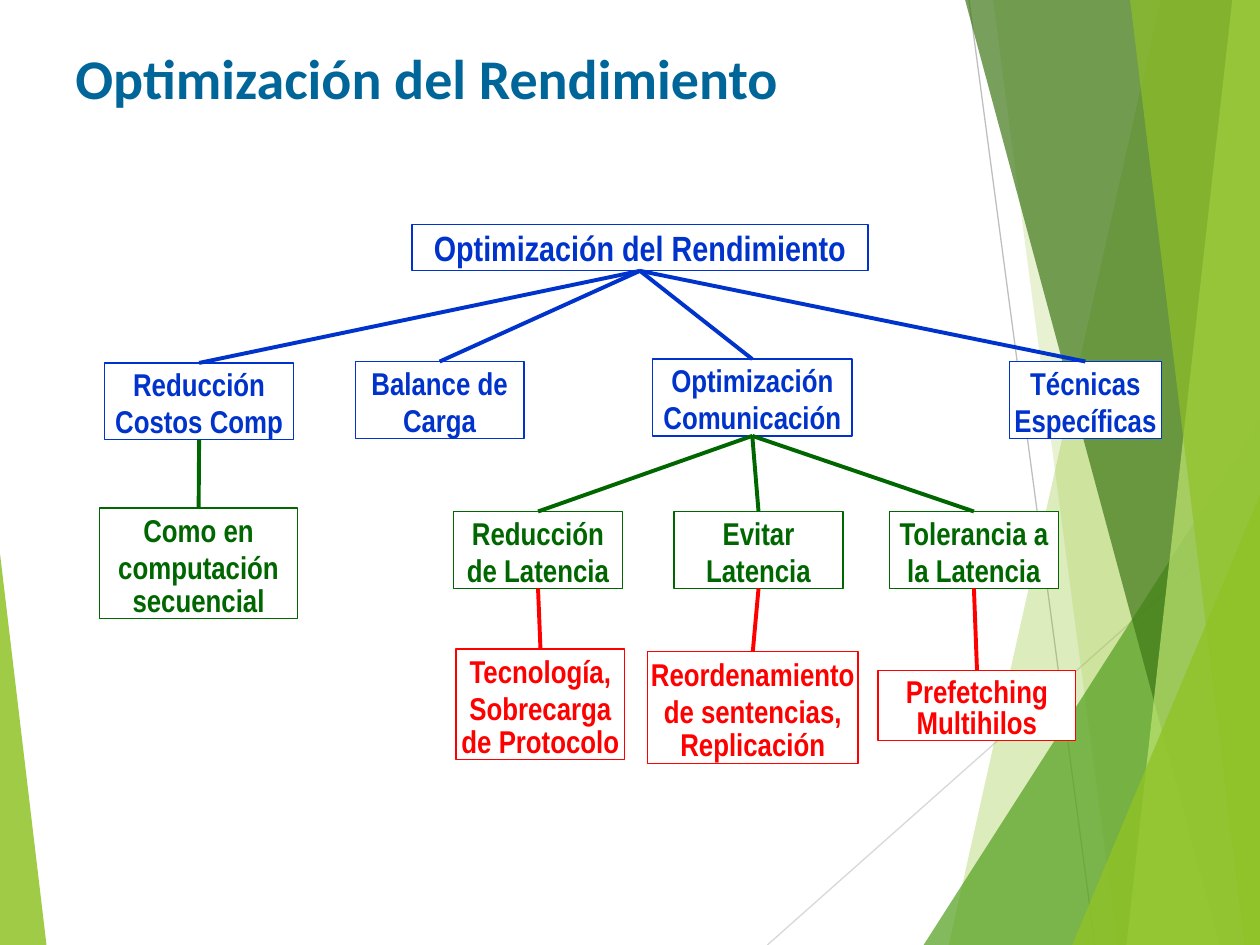
from collections import namedtuple

from lxml.etree import SubElement
from pptx import Presentation
from pptx.dml.color import RGBColor
from pptx.enum.shapes import MSO_CONNECTOR, MSO_SHAPE
from pptx.enum.text import MSO_ANCHOR, PP_ALIGN
from pptx.oxml.ns import qn
from pptx.util import Pt

BLUE, GREEN, RED = "0033CC", "006600", "FF0000"
LIME = "90C226"
TOP, BOTTOM = 0, 2
LINE_GAPS = (0, 9, 8)

Box = namedtuple("Box", "left top width height")
Node = namedtuple("Node", "lines color box parent gaps", defaults=(None, LINE_GAPS))

# Boxes are relative to the top left corner of the diagram.
NODES = {
    "root": Node(["Optimización del Rendimiento"], BLUE, Box(178.4, 0.2, 260.6, 26.6)),
    "specific": Node(["Técnicas", "Específicas"], BLUE,
                     Box(519.7, 78.6, 87.1, 43.9), "root"),
    "communication": Node(["Optimización", "Comunicación"], BLUE,
                          Box(316, 77.2, 113.8, 43.9), "root"),
    "balance": Node(["Balance de", "Carga"], BLUE, Box(146, 78.6, 96.5, 43.9), "root"),
    "costs": Node(["Reducción", "Costos Comp"], BLUE, Box(2.8, 79.4, 108, 43.9), "root"),
    "reduce": Node(["Reducción", "de Latencia"], GREEN,
                   Box(202.2, 164.3, 96.5, 43.9), "communication"),
    "avoid": Node(["Evitar", "Latencia"], GREEN,
                  Box(328.2, 164.3, 96.5, 43.9), "communication"),
    "tolerate": Node(["Tolerancia a", "la Latencia"], GREEN,
                     Box(451.3, 164.3, 96.5, 43.9), "communication"),
    "technology": Node(["Tecnología,", "Sobrecarga", "de Protocolo"], RED,
                       Box(203.6, 242.8, 96.5, 63.4), "reduce"),
    "reorder": Node(["Reordenamiento", "de sentencias,", "Replicación"], RED,
                    Box(313.1, 244.2, 120.2, 64.1), "avoid"),
    "prefetch": Node(["Prefetching", "Multihilos"], RED,
                     Box(444.8, 255, 113, 40.3), "tolerate", (0, 5.6)),
    "sequential": Node(["Como en", "computación", "secuencial"], GREEN,
                       Box(0, 162.2, 113, 63.4), "costs"),
}


def rgb(color):
    return RGBColor.from_string(color)


def paint(shape, color, opacity=100):
    """Fill a shape without outline or shadow; opacity is in percent."""
    shape.shadow.inherit = False
    shape.line.fill.background()
    shape.fill.solid()
    shape.fill.fore_color.rgb = rgb(color)
    if opacity < 100:
        tint = shape._element.spPr.find(qn("a:solidFill"))[0]
        SubElement(tint, qn("a:alpha")).set("val", str(opacity * 1000))


def add_line(slide, start, end, color, weight):
    line = slide.shapes.add_connector(
        MSO_CONNECTOR.STRAIGHT, *(Pt(value) for value in (*start, *end)))
    line.line.color.rgb = rgb(color)
    line.line.width = Pt(weight)
    SubElement(line._element.spPr, qn("a:effectLst"))
    return line


def add_backdrop(slide, box):
    """Overlapping translucent shards along the right side, one at bottom left."""
    right, bottom = box.left + box.width, box.top + box.height

    def shard(top_x, bottom_x, color, opacity):
        """Region between a slanted left edge and the right side of the box."""
        builder = slide.shapes.build_freeform(
            Pt(box.left + top_x), Pt(box.top), scale=1.0)
        corners = [(right, box.top), (right, bottom), (box.left + bottom_x, bottom)]
        builder.add_line_segments([(Pt(x), Pt(y)) for x, y in corners], close=True)
        paint(builder.convert_to_shape(), color, opacity)

    def corner(left, width, height, apex, color, opacity):
        """Right triangle on the bottom edge; apex is 0 for left, 1 for right."""
        triangle = slide.shapes.add_shape(
            MSO_SHAPE.ISOSCELES_TRIANGLE,
            Pt(left), Pt(bottom - height), Pt(width), Pt(height))
        triangle.adjustments[0] = apex
        paint(triangle, color, opacity)

    add_line(slide, (box.left + 553.7, box.top), (box.left + 625.7, bottom), "BFBFBF", 0.75)
    add_line(slide, (right, box.top + 290.2), (box.left + 438.5, bottom), "D8D8D8", 0.75)
    shard(663.1, 542.2, LIME, 30)
    shard(567.4, 638.6, LIME, 20)
    corner(right - 192.2, 192.2, 300.2, 1, "54A021", 72)
    shard(551.5, 697, "3F7818", 70)
    shard(704.2, 643.7, "BFE471", 70)
    shard(645.8, 711.4, LIME, 65)
    corner(right - 107.3, 107.3, 257, 1, LIME, 80)
    corner(box.left, 26.6, 223.9, 0, LIME, 85)


def add_title(slide, box, text):
    frame = slide.shapes.add_textbox(*(Pt(value) for value in box)).text_frame
    frame.word_wrap = True
    frame.vertical_anchor = MSO_ANCHOR.BOTTOM
    heading = frame.paragraphs[0]
    heading.text = text
    heading.font.name = "Calibri"
    heading.font.size = Pt(32)
    heading.font.bold = True
    heading.font.color.rgb = rgb("006699")


def add_node(slide, box, node):
    shape = slide.shapes.add_shape(MSO_SHAPE.RECTANGLE, *(Pt(value) for value in box))
    paint(shape, "FFFFFF")
    shape.line.color.rgb = rgb(node.color)
    shape.line.width = Pt(0.75)
    frame = shape.text_frame
    frame.word_wrap = True
    frame.vertical_anchor = MSO_ANCHOR.MIDDLE
    frame.margin_left = frame.margin_right = 0
    frame.margin_top = frame.margin_bottom = Pt(0.72)
    for index, (text, gap) in enumerate(zip(node.lines, node.gaps)):
        line = frame.add_paragraph() if index else frame.paragraphs[0]
        line.text = text
        line.alignment = PP_ALIGN.CENTER
        if index:
            line.line_spacing = 0.5
            line.space_before = Pt(gap)
        line.font.name = "Arial Narrow"
        line.font.size = Pt(18 if node.parent else 20)
        line.font.bold = True
        line.font.color.rgb = rgb(node.color)
    return shape


def add_tree(slide, box, nodes):
    """Draw all nodes, then join each one to its parent in its own colour."""
    shapes = {
        key: add_node(slide, node.box._replace(left=box.left + node.box.left,
                                               top=box.top + node.box.top), node)
        for key, node in nodes.items()
    }
    for key, node in nodes.items():
        if node.parent:
            branch = add_line(slide, (0, 0), (0, 0), node.color, 2.25)
            branch.begin_connect(shapes[node.parent], BOTTOM)
            branch.end_connect(shapes[key], TOP)


def main():
    presentation = Presentation()
    presentation.slide_width, presentation.slide_height = Pt(720), Pt(540)
    slide = presentation.slides.add_slide(presentation.slide_layouts[6])
    add_backdrop(slide, Box(0, 0, 720, 540))
    add_title(slide, Box(36, 21.6, 648, 45.4), "Optimización del Rendimiento")
    add_tree(slide, Box(57, 128, 607, 309), NODES)
    presentation.save("out.pptx")


if __name__ == "__main__":
    main()
